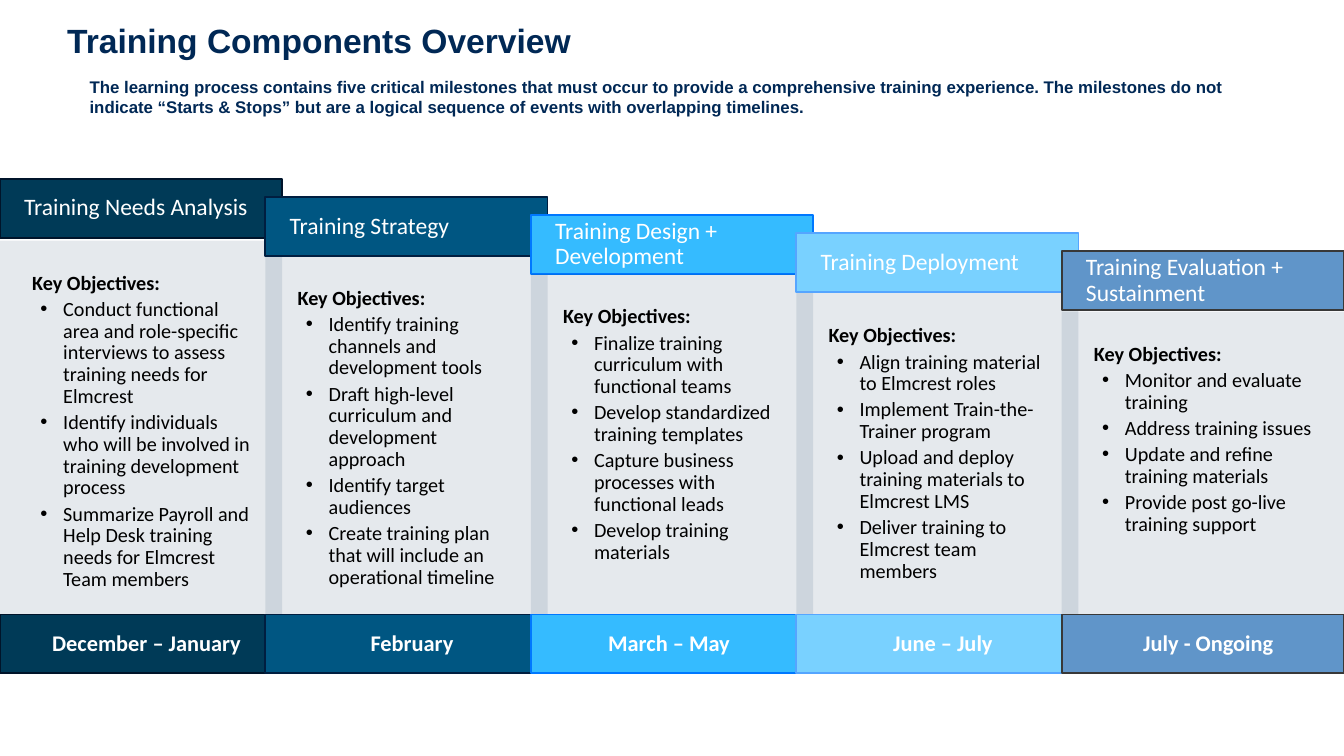
from dataclasses import dataclass

from lxml import etree
from pptx import Presentation
from pptx.dml.color import RGBColor
from pptx.enum.shapes import MSO_SHAPE
from pptx.enum.text import MSO_ANCHOR, MSO_AUTO_SIZE, PP_ALIGN
from pptx.oxml.ns import qn
from pptx.shapes.autoshape import Shape
from pptx.slide import Slide
from pptx.text.text import TextFrame, _Paragraph
from pptx.util import Pt

RECTANGLE = MSO_SHAPE.RECTANGLE
TOP, MIDDLE = MSO_ANCHOR.TOP, MSO_ANCHOR.MIDDLE
LEFT, CENTER = PP_ALIGN.LEFT, PP_ALIGN.CENTER
NO_AUTOFIT = MSO_AUTO_SIZE.NONE

COLORS = {
    "navy": "002855", "white": "FFFFFF", "black": "000000",
    "deep": "003A57", "deep_line": "00142A",
    "ocean": "005682", "ocean_line": "001E40",
    "sky": "35BBFF", "sky_line": "0078FF",
    "pale": "79D1FF", "pale_line": "55A5FF",
    "steel": "6095C9", "steel_line": "383838",
}

COLUMN_WIDTH = 151.2
COLUMN_PITCH = 142.2
HEADER_TOP = 95.8
HEADER_STEP = 9.7
BAR_HEIGHT = 31.6
PANEL_BOTTOM = 333
DATE_TOP = 329.2
BAR_INSETS = (13, 3.6, 7.2, 3.6)
PANEL_INSETS = (17.3, 17.3, 17.3, 17.3)


@dataclass
class Milestone:
    name: str
    dates: str
    color: str
    panel_top: float
    objectives: list[str]
    date_width: float = COLUMN_WIDTH


MILESTONES = [
    Milestone("Training Needs Analysis", "December – January", "deep", 128.9, [
        "Conduct functional area and role-specific interviews to assess training needs for Elmcrest",
        "Identify individuals who will be involved in training development process",
        "Summarize Payroll and Help Desk training needs for Elmcrest Team members",
    ]),
    Milestone("Training Strategy", "February", "ocean", 136.9, [
        "Identify training channels and development tools",
        "Draft high-level curriculum and development approach",
        "Identify target audiences",
        "Create training plan that will include an operational timeline",
    ]),
    Milestone("Training Design + Development", "March – May", "sky", 146.9, [
        "Finalize training curriculum with functional teams",
        "Develop standardized training templates",
        "Capture business processes with functional leads",
        "Develop training materials",
    ], date_width=COLUMN_PITCH),
    Milestone("Training Deployment", "June – July", "pale", 157, [
        "Align training material to Elmcrest roles",
        "Implement Train-the-Trainer program",
        "Upload and deploy training materials to Elmcrest LMS",
        "Deliver training to Elmcrest team members",
    ]),
    Milestone("Training Evaluation + Sustainment", "July - Ongoing", "steel", 167, [
        "Monitor and evaluate training",
        "Address training issues",
        "Update and refine training materials",
        "Provide post go-live training support",
    ]),
]


def rgb(name: str) -> RGBColor:
    return RGBColor.from_string(COLORS[name])


def set_frame(frame: TextFrame, insets: tuple[float, ...], anchor: MSO_ANCHOR) -> None:
    frame.word_wrap = True
    frame.auto_size = NO_AUTOFIT
    frame.vertical_anchor = anchor
    frame.margin_left, frame.margin_top, frame.margin_right, frame.margin_bottom = map(Pt, insets)


def write(paragraph: _Paragraph, text: str, size: float, font: str, color: str,
          bold: bool = False, align: PP_ALIGN = LEFT) -> None:
    paragraph.text = text
    paragraph.alignment = align
    for run in paragraph.runs:
        run.font.size = Pt(size)
        run.font.name = font
        run.font.bold = bold
        run.font.color.rgb = rgb(color)


def set_column_spacing(paragraph: _Paragraph) -> None:
    paragraph.line_spacing = 0.9
    paragraph.space_after = Pt(2.4)


def add_bullet(paragraph: _Paragraph) -> None:
    properties = paragraph._p.get_or_add_pPr()
    properties.set("marL", str(Pt(16.6)))
    properties.set("indent", str(Pt(-12.2)))
    etree.SubElement(properties, qn("a:buFont"), typeface="Arial")
    etree.SubElement(properties, qn("a:buChar"), char="•")


def add_rectangle(slide: Slide, left: float, top: float, width: float,
                  height: float, fill: str) -> Shape:
    shape = slide.shapes.add_shape(RECTANGLE, Pt(left), Pt(top), Pt(width), Pt(height))
    shape.shadow.inherit = False
    shape.fill.solid()
    shape.fill.fore_color.rgb = rgb(fill)
    return shape


def add_bar(slide: Slide, left: float, top: float, width: float, color: str,
            text: str, size: float, bold: bool, align: PP_ALIGN) -> None:
    bar = add_rectangle(slide, left, top, width, BAR_HEIGHT, color)
    bar.line.color.rgb = rgb(f"{color}_line")
    bar.line.width = Pt(1)
    set_frame(bar.text_frame, BAR_INSETS, MIDDLE)
    paragraph = bar.text_frame.paragraphs[0]
    set_column_spacing(paragraph)
    write(paragraph, text, size, "Calibri", "white", bold, align)


def add_panel(slide: Slide, left: float, milestone: Milestone) -> None:
    """Draw the translucent box that lists a milestone's objectives."""
    top = milestone.panel_top
    panel = add_rectangle(slide, left, top, COLUMN_WIDTH, PANEL_BOTTOM - top, "navy")
    panel.line.fill.background()
    fill_color = panel._element.spPr.find(f".//{qn('a:srgbClr')}")
    etree.SubElement(fill_color, qn("a:alpha"), val="10000")
    frame = panel.text_frame
    set_frame(frame, PANEL_INSETS, TOP)
    heading = frame.paragraphs[0]
    set_column_spacing(heading)
    write(heading, "Key Objectives:", 10.8, "Calibri", "black", bold=True)
    for objective in milestone.objectives:
        paragraph = frame.add_paragraph()
        set_column_spacing(paragraph)
        add_bullet(paragraph)
        write(paragraph, objective, 10.8, "Calibri", "black")


def add_title(slide: Slide) -> None:
    title = slide.shapes.title
    title.left, title.top, title.width, title.height = Pt(36), Pt(10.8), Pt(648), Pt(31.7)
    set_frame(title.text_frame, (0, 0, 0, 0), TOP)
    write(title.text_frame.paragraphs[0], "Training Components Overview", 18, "Arial", "navy", bold=True)


def add_introduction(slide: Slide) -> None:
    box = slide.shapes.add_textbox(Pt(48), Pt(41), Pt(608), Pt(21.6))
    set_frame(box.text_frame, (0, 0, 0, 0), TOP)
    paragraph = box.text_frame.paragraphs[0]
    paragraph.space_after = Pt(5.6)
    write(paragraph,
          "The learning process contains five critical milestones that must occur to provide a "
          "comprehensive training experience. The milestones do not indicate “Starts & Stops” "
          "but are a logical sequence of events with overlapping timelines.",
          9, "Arial", "navy", bold=True)


def main() -> None:
    presentation = Presentation()
    presentation.slide_width, presentation.slide_height = Pt(720), Pt(405)
    slide = presentation.slides.add_slide(presentation.slide_layouts.get_by_name("Title Only"))
    add_title(slide)
    for index, milestone in enumerate(MILESTONES):
        left = index * COLUMN_PITCH
        add_bar(slide, left, HEADER_TOP + index * HEADER_STEP, COLUMN_WIDTH,
                milestone.color, milestone.name, 12.6, False, LEFT)
        add_panel(slide, left, milestone)
    add_introduction(slide)
    for index, milestone in enumerate(MILESTONES):
        add_bar(slide, index * COLUMN_PITCH, DATE_TOP, milestone.date_width,
                milestone.color, milestone.dates, 12, True, CENTER)
    presentation.save("out.pptx")


if __name__ == "__main__":
    main()
